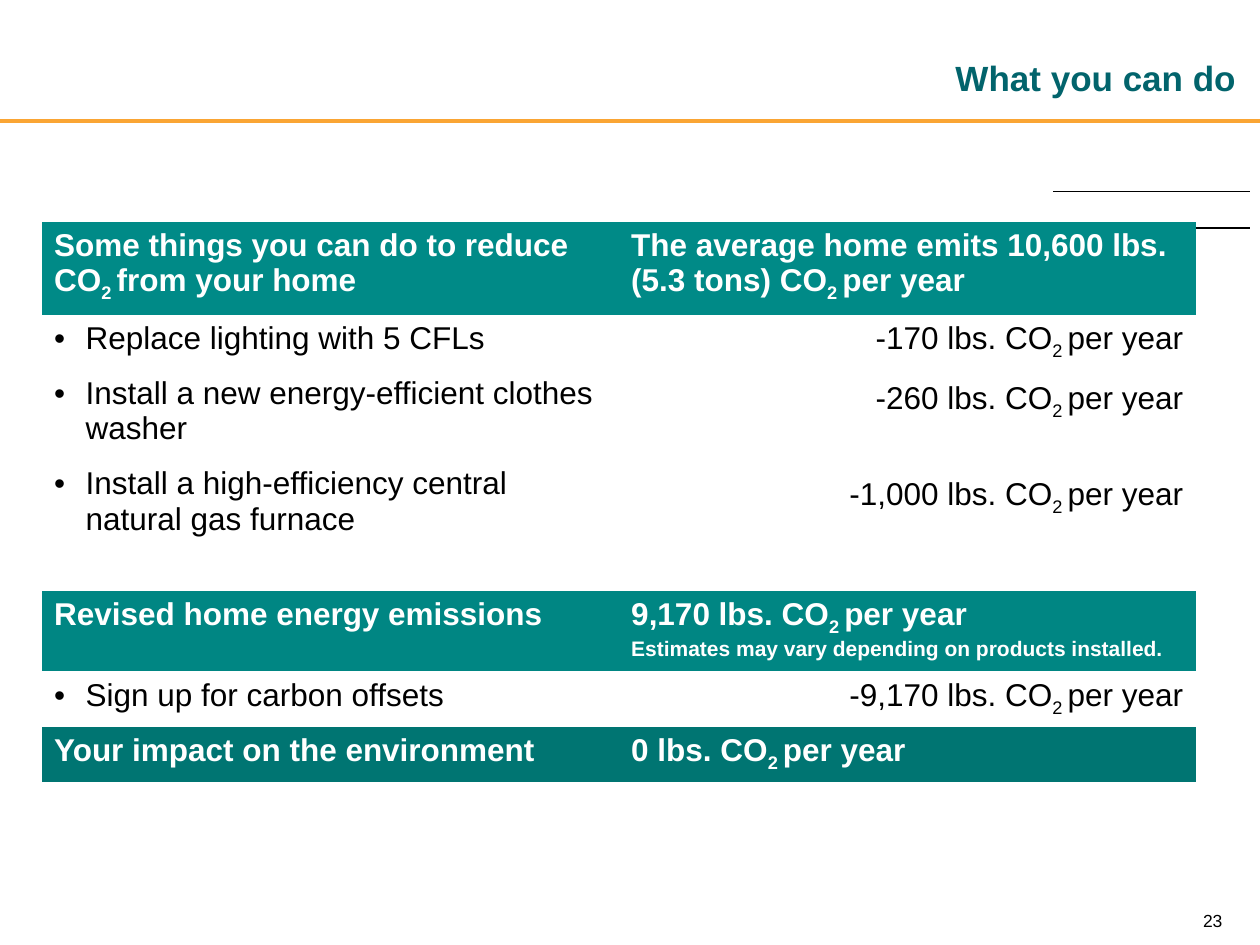
"""Build the "What you can do" slide on cutting home CO2 emissions."""
from lxml import etree
from pptx import Presentation
from pptx import util as u
from pptx.dml.color import RGBColor
from pptx.enum import shapes, text
from pptx.oxml.ns import qn

COLORS = {"title": "02646C", "rule": "FAA534", "black": "000000", "white": "FFFFFF",
          "header": "008A87", "revised": "008683", "impact": "007572"}


def format_run(run, size, color, bold=False):
    run.font.name = "Arial"
    run.font.size = u.Pt(size)
    run.font.bold = bold
    run.font.color.rgb = RGBColor.from_string(COLORS[color])


def add_runs(paragraph, wording, size, color, bold):
    before, formula, after = wording.partition("CO2 ")
    pieces = [before + "CO", "2 ", after] if formula else [wording]
    for piece in pieces:
        run = paragraph.add_run()
        run.text = piece
        format_run(run, size, color, bold)
        if piece == "2 ":
            run._r.get_or_add_rPr().set("baseline", "-25000")


prs = Presentation()
prs.slide_width, prs.slide_height = u.Inches(10), u.Inches(7.5)
slide = prs.slides.add_slide(prs.slide_layouts[5])

for left, right, y, color, width in [(0, 10, 0.96, "rule", 2),
                                     (8.36, 9.92, 1.52, "black", 0.75),
                                     (8.36, 9.92, 1.81, "black", 0.75)]:
    rule = slide.shapes.add_connector(shapes.MSO_CONNECTOR.STRAIGHT, u.Inches(left),
                                      u.Inches(y), u.Inches(right), u.Inches(y))
    rule.line.color.rgb = RGBColor.from_string(COLORS[color])
    rule.line.width = u.Pt(width)
    etree.SubElement(rule._element.spPr, qn("a:effectLst"))

title = slide.shapes.title
title.left, title.top = u.Inches(1.58), u.Inches(0.15)
title.width, title.height = u.Inches(8.33), u.Inches(0.68)
title.text_frame.text = "What you can do"
title.text_frame.vertical_anchor = text.MSO_ANCHOR.BOTTOM
title.text_frame.paragraphs[0].alignment = text.PP_ALIGN.RIGHT
format_run(title.text_frame.paragraphs[0].runs[0], 20, "title", True)

rows = [
    (0.74, "header", ["Some things you can do to reduce CO2 from your home"],
     ["The average home emits 10,600 lbs. (5.3 tons) CO2 per year"]),
    (2.19, None, ["Replace lighting with 5 CFLs",
                  "Install a new energy-efficient clothes washer",
                  "Install a high-efficiency central natural gas furnace"],
     ["-170 lbs. CO2 per year", "-260 lbs. CO2 per year", "-1,000 lbs. CO2 per year"]),
    (0.64, "revised", ["Revised home energy emissions"], ["9,170 lbs. CO2 per year"]),
    (0.44, None, ["Sign up for carbon offsets"], ["-9,170 lbs. CO2 per year"]),
    (0.44, "impact", ["Your impact on the environment"], ["0 lbs. CO2 per year"]),
]
frame = slide.shapes.add_table(len(rows), 2, u.Inches(0.33), u.Inches(1.76),
                               u.Inches(9.16), u.Inches(4.16))
savings = frame.table
savings.first_row = savings.horz_banding = False
savings._tbl.tblPr.find(qn("a:tableStyleId")).text = "{2D5ABB26-0587-4C30-8999-92F81FD0307C}"

for row_index, (height, band, actions, amounts) in enumerate(rows):
    savings.rows[row_index].height = u.Inches(height)
    for column, lines in enumerate((actions, amounts)):
        cell = savings.cell(row_index, column)
        if band:
            cell.fill.solid()
            cell.fill.fore_color.rgb = RGBColor.from_string(COLORS[band])
        else:
            cell.fill.background()
        for line_index, wording in enumerate(lines):
            paragraph = (cell.text_frame.add_paragraph() if line_index
                         else cell.text_frame.paragraphs[0])
            if line_index:
                paragraph.space_before = u.Pt(32 if column and line_index == 2 else 11.2)
            if not band and column == 0:
                pPr = paragraph._p.get_or_add_pPr()
                pPr.set("marL", str(u.Inches(0.25)))
                pPr.set("indent", str(-u.Inches(0.25)))
                etree.SubElement(pPr, qn("a:buFont")).set("typeface", "Arial")
                etree.SubElement(pPr, qn("a:buChar")).set("char", "•")
            elif not band:
                paragraph.alignment = text.PP_ALIGN.RIGHT
            add_runs(paragraph, wording, 18, "white" if band else "black", bool(band))

estimate = savings.cell(2, 1).text_frame.paragraphs[0]
estimate.add_line_break()
add_runs(estimate, "Estimates may vary depending on products installed.", 12, "white", True)

page_number = slide.shapes.add_textbox(u.Inches(7.95), u.Inches(7.14),
                                       u.Inches(1.85), u.Inches(0.3)).text_frame
page_number.word_wrap = True
page_number.vertical_anchor = text.MSO_ANCHOR.BOTTOM
page_number.text = "23"
page_number.paragraphs[0].alignment = text.PP_ALIGN.RIGHT
page_number.paragraphs[0].line_spacing = 0.8
format_run(page_number.paragraphs[0].runs[0], 10, "black")

prs.save("out.pptx")
